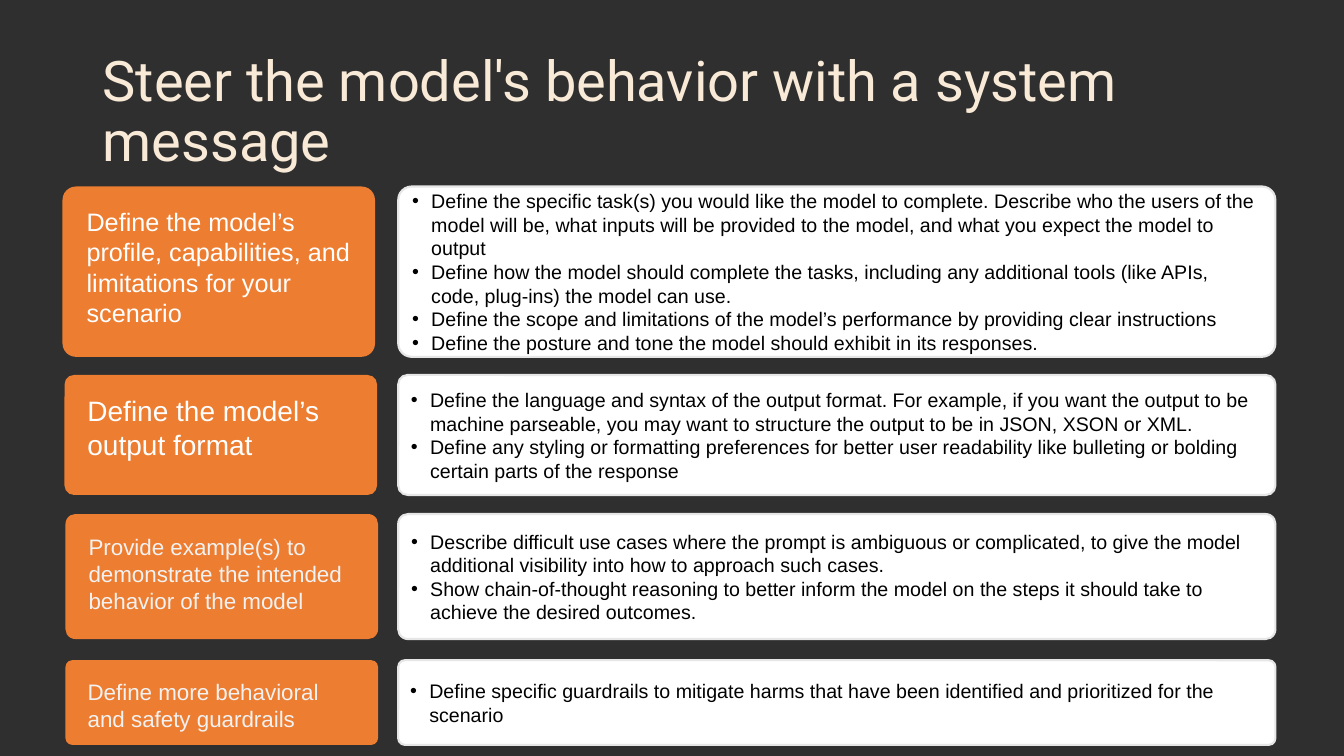
from lxml.etree import SubElement
from pptx import Presentation
from pptx.dml.color import RGBColor
from pptx.enum.shapes import MSO_SHAPE
from pptx.enum.text import MSO_ANCHOR, PP_ALIGN
from pptx.oxml.ns import qn
from pptx.util import Inches, Pt

COLORS = {
    "background": "2F2F2F", "title": "F9EAD7", "label": "ED7D31",
    "panel": "FFFFFF", "border": "E7E6E6", "white": "FFFFFF",
    "soft white": "F2F2F2", "black": "000000",
}
LABEL_WIDTH, PANEL_LEFT, PANEL_WIDTH = 3.1, 3.95, 8.7
CORNER = 0.079


def color(name):
    return RGBColor.from_string(COLORS[name])


def write(frame, lines, size, ink, font="Arial", anchor=MSO_ANCHOR.MIDDLE,
          inset=(0.1, 0.05), spacing=None, bullet=False):
    frame.word_wrap = True
    frame.vertical_anchor = anchor
    frame.margin_left = frame.margin_right = Inches(inset[0])
    frame.margin_top = frame.margin_bottom = Inches(inset[1])
    for i, line in enumerate(lines):
        paragraph = frame.add_paragraph() if i else frame.paragraphs[0]
        paragraph.alignment = PP_ALIGN.LEFT
        if spacing:
            paragraph.line_spacing = spacing
        if bullet:
            properties = paragraph._p.get_or_add_pPr()
            properties.set("marL", str(Inches(0.19)))
            properties.set("indent", str(-Inches(0.19)))
            SubElement(properties, qn("a:buFont"), typeface="Arial")
            SubElement(properties, qn("a:buChar"), char="•")
        run = paragraph.add_run()
        run.text = line
        run.font.size = Pt(size)
        run.font.name = font
        run.font.color.rgb = color(ink)


presentation = Presentation()
presentation.slide_width = Inches(13.33)
presentation.slide_height = Inches(7.5)
slide = presentation.slides.add_slide(presentation.slide_layouts[6])
slide.background.fill.solid()
slide.background.fill.fore_color.rgb = color("background")

# Title
title = slide.shapes.add_textbox(Inches(0.92), Inches(0.4), Inches(11.5), Inches(1.45))
write(title.text_frame, ["Steer the model's behavior with a system message"],
      size=40, ink="title", font="Roboto", spacing=0.9)

# Guidance rows: top, height, label left, label size, label ink, label, advice
guidance = [
    (1.85, 1.69, 0.62, 18, "white",
     "Define the model’s profile, capabilities, and limitations for your scenario",
     ["Define the specific task(s) you would like the model to complete. Describe who the "
      "users of the model will be, what inputs will be provided to the model, and what you "
      "expect the model to output",
      "Define how the model should complete the tasks, including any additional tools "
      "(like APIs, code, plug-ins) the model can use.",
      "Define the scope and limitations of the model’s performance by providing clear "
      "instructions",
      "Define the posture and tone the model should exhibit in its responses."]),
    (3.72, 1.19, 0.64, 20, "white",
     "Define the model’s output format",
     ["Define the language and syntax of the output format. For example, if you want the "
      "output to be machine parseable, you may want to structure the output to be in JSON, "
      "XSON or XML.",
      "Define any styling or formatting preferences for better user readability like "
      "bulleting or bolding certain parts of the response"]),
    (5.1, 1.24, 0.65, 16, "soft white",
     "Provide example(s) to demonstrate the intended behavior of the model",
     ["Describe difficult use cases where the prompt is ambiguous or complicated, to give "
      "the model additional visibility into how to approach such cases.",
      "Show chain-of-thought reasoning to better inform the model on the steps it should "
      "take to achieve the desired outcomes."]),
    (6.55, 0.84, 0.65, 16, "soft white",
     "Define more behavioral and safety guardrails",
     ["Define specific guardrails to mitigate harms that have been identified and "
      "prioritized for the scenario"]),
]

for top, height, label_left, label_size, label_ink, heading, advice in guidance:
    label, panel = [
        slide.shapes.add_shape(MSO_SHAPE.ROUNDED_RECTANGLE, Inches(left), Inches(top),
                               Inches(width), Inches(height))
        for left, width in ((label_left, LABEL_WIDTH), (PANEL_LEFT, PANEL_WIDTH))
    ]
    for card, fill in ((label, "label"), (panel, "panel")):
        card.adjustments[0] = CORNER
        card.shadow.inherit = False
        card.fill.solid()
        card.fill.fore_color.rgb = color(fill)

    # Orange label
    label.line.fill.background()
    write(label.text_frame, [heading], size=label_size, ink=label_ink,
          anchor=MSO_ANCHOR.TOP, inset=(0.2, 0.16))

    # White panel with bulleted advice
    panel.line.color.rgb = color("border")
    panel.line.width = Pt(1.5)
    write(panel.text_frame, advice, size=14, ink="black", inset=(0.1, 0), bullet=True)

presentation.save("out.pptx")
